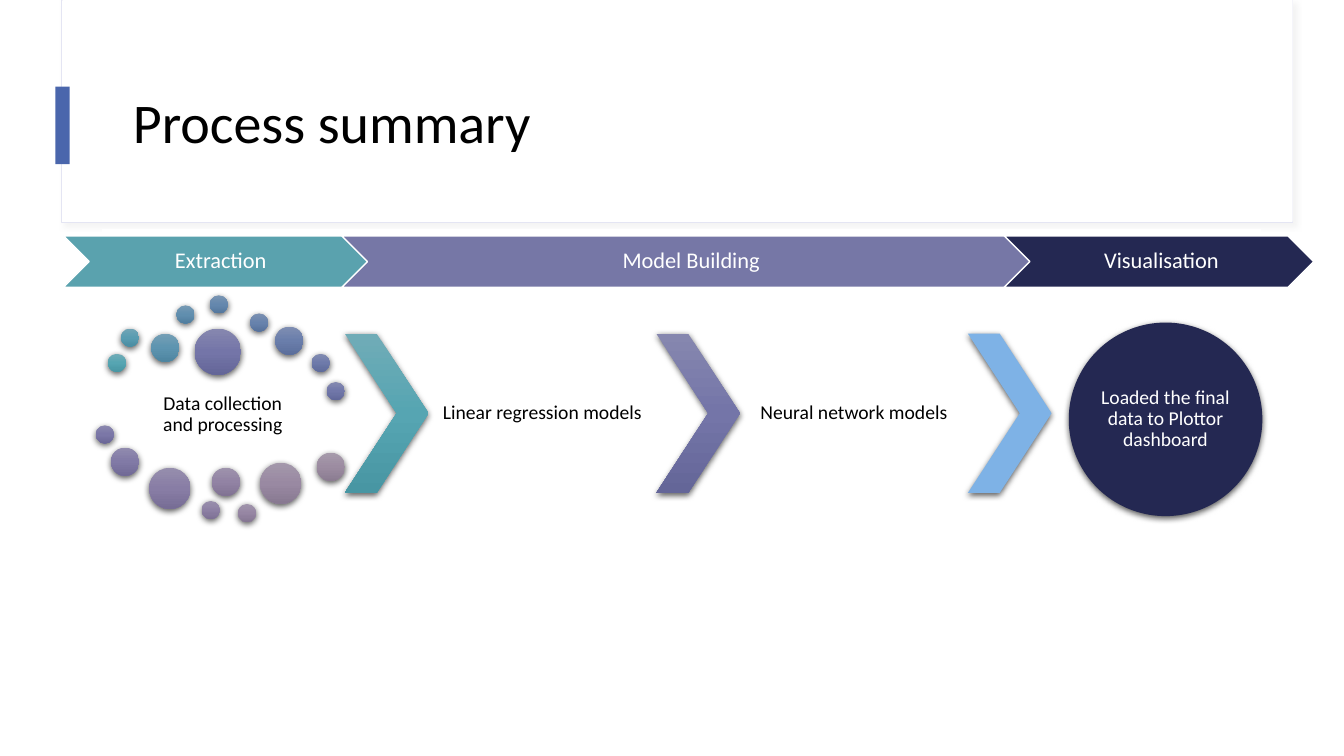
from lxml import etree
from pptx import Presentation
from pptx.dml.color import RGBColor
from pptx.enum.shapes import MSO_SHAPE
from pptx.enum.text import MSO_ANCHOR, PP_ALIGN
from pptx.oxml.ns import qn
from pptx.util import Inches, Pt

RECTANGLE, OVAL, CHEVRON = MSO_SHAPE.RECTANGLE, MSO_SHAPE.OVAL, MSO_SHAPE.CHEVRON
LEFT, CENTER, MIDDLE = PP_ALIGN.LEFT, PP_ALIGN.CENTER, MSO_ANCHOR.MIDDLE

FONT = "Calibri"
COLORS = {
    "white": "FFFFFF", "black": "000000", "panel line": "E4E5F3",
    "panel shadow": "D9D9D9", "accent": "4A66AC", "teal": "5AA2AE",
    "purple": "7677A6", "navy": "242852", "sky": "7EB2E6",
}
# Gradients run from top to bottom.
TEAL_GRADIENT = ("70ACB7", "56A5B2", "4896A3")
PURPLE_GRADIENT = ("8687AF", "7475A8", "646698")

# Fill, left, top, width, height
PANELS = [
    ("white", 0.62, 0, 12.2, 2.2),
    ("accent", 0.55, 0.86, 0.14, 0.77),
    ("white", 1.01, 2.27, 11.5, 0.7),
]

# Label, fill, left, width
STAGES = [
    ("Extraction", "teal", 0.63, 3.07),
    ("Model Building", "purple", 3.39, 6.88),
    ("Visualisation", "navy", 9.96, 3.07),
]
STAGE_TOP, STAGE_HEIGHT = 2.34, 0.51

SMALL, MEDIUM, LARGE, LARGEST = 0.18, 0.28, 0.41, 0.46
# Left, top, diameter, gradient
DOTS = [
    (1.07, 3.51, SMALL, TEAL_GRADIENT),
    (1.2, 3.26, SMALL, ("72A5B6", "599CB1", "4B8DA2")),
    (1.5, 3.31, MEDIUM, ("759FB5", "5D94B0", "4E85A0")),
    (1.75, 3.03, SMALL, ("779AB4", "608EAE", "517E9F")),
    (2.08, 2.93, SMALL, ("7A95B3", "6487AD", "55789E")),
    (2.48, 3.11, SMALL, ("7C91B2", "6782AC", "58739D")),
    (2.73, 3.24, MEDIUM, ("7F8EB2", "6A7EAB", "5B6E9B")),
    (3.09, 3.51, SMALL, ("818BB1", "6E7AAA", "5E6B9A")),
    (3.24, 3.79, SMALL, ("8489B0", "7177A9", "616899")),
    (1.93, 3.26, LARGEST, PURPLE_GRADIENT),
    (0.95, 4.22, SMALL, ("8C89AF", "7B77A7", "6B6797")),
    (1.1, 4.44, MEDIUM, ("918BAE", "817AA6", "716A96")),
    (1.48, 4.64, LARGE, ("968EAD", "887DA5", "776D95")),
    (2, 4.97, SMALL, ("9A90AD", "8D80A4", "7D7094")),
    (2.1, 4.64, MEDIUM, ("9E93AC", "9283A4", "817393")),
    (2.36, 5, SMALL, ("A195AC", "9686A3", "857692")),
    (2.58, 4.59, LARGE, ("A498AB", "9989A2", "887991")),
    (3.14, 4.49, MEDIUM, ("A69AAB", "9C8CA1", "8B7C91")),
]

# Arrow fill and the label that follows it
STEPS = [
    (TEAL_GRADIENT, "Linear regression models"),
    (PURPLE_GRADIENT, "Neural network models"),
    ("sky", None),
]
STEP_LEFT, STEP_TOP, STEP_HEIGHT = 3.42, 3.31, 1.58
ARROW_WIDTH, LABEL_WIDTH = 0.83, 2.26

# Colour, opacity %, blur pt, distance pt, angle in degrees
SOFT_SHADOW = ("black", 63, 4.5, 1.5, 90)
PANEL_SHADOW = ("panel shadow", 30, 4, 3, 45)


def rgb(name):
    return RGBColor.from_string(COLORS[name])


def set_gradient(shape, stops):
    shape.fill.gradient()
    shape.fill.gradient_angle = 270
    stop_list = shape._element.spPr.find(".//" + qn("a:gsLst"))
    for stop in list(stop_list):
        stop_list.remove(stop)
    for index, color in enumerate(stops):
        stop = etree.SubElement(stop_list, qn("a:gs"), pos=str(index * 50000))
        etree.SubElement(stop, qn("a:srgbClr"), val=color)


def set_shadow(shape, color, opacity, blur, distance, angle):
    effects = shape._element.spPr.find(qn("a:effectLst"))
    outer = etree.SubElement(
        effects, qn("a:outerShdw"), blurRad=str(int(Pt(blur))),
        dist=str(int(Pt(distance))), dir=str(angle * 60000),
        algn="ctr", rotWithShape="0")
    tint = etree.SubElement(outer, qn("a:srgbClr"), val=COLORS[color])
    etree.SubElement(tint, qn("a:alpha"), val=str(opacity * 1000))


def add_shape(slide, kind, left, top, width, height, fill,
              line=None, line_width=1, shadow=None):
    """Add a shape; fill is a colour name or a tuple of gradient stops."""
    shape = slide.shapes.add_shape(
        kind, Inches(left), Inches(top), Inches(width), Inches(height))
    if isinstance(fill, tuple):
        set_gradient(shape, fill)
    else:
        shape.fill.solid()
        shape.fill.fore_color.rgb = rgb(fill)
    if line:
        shape.line.color.rgb = rgb(line)
        shape.line.width = Pt(line_width)
    else:
        shape.line.fill.background()
    shape.shadow.inherit = False
    if shadow:
        set_shadow(shape, *shadow)
    return shape


def write_text(shape, text, size=14, color="black", align=CENTER,
               insets=(0.02, 0.02, 0.02, 0.02)):
    """Fill a shape with one paragraph; insets are left, top, right, bottom."""
    frame = shape.text_frame
    frame.word_wrap = True
    frame.vertical_anchor = MIDDLE
    (frame.margin_left, frame.margin_top,
     frame.margin_right, frame.margin_bottom) = map(Inches, insets)
    paragraph = frame.paragraphs[0]
    paragraph.alignment = align
    paragraph.line_spacing = 0.9
    run = paragraph.add_run()
    run.text = text
    run.font.name = FONT
    run.font.size = Pt(size)
    run.font.color.rgb = rgb(color)


def add_text(slide, text, left, top, width, height, **text_format):
    box = slide.shapes.add_textbox(
        Inches(left), Inches(top), Inches(width), Inches(height))
    write_text(box, text, **text_format)


def main():
    presentation = Presentation()
    presentation.slide_width = Inches(13.33)
    presentation.slide_height = Inches(7.5)
    slide = presentation.slides.add_slide(presentation.slide_layouts[6])

    add_shape(slide, RECTANGLE, 0.61, 0, 12.21, 2.21, "white",
              line="panel line", line_width=0.75, shadow=PANEL_SHADOW)
    for fill, *place in PANELS:
        add_shape(slide, RECTANGLE, *place, fill)

    add_text(slide, "Data collection and processing", 1.45, 3.74, 1.52, 0.74)
    for left, top, diameter, gradient in DOTS:
        add_shape(slide, OVAL, left, top, diameter, diameter, gradient,
                  shadow=SOFT_SHADOW)

    for index, (fill, label) in enumerate(STEPS):
        left = STEP_LEFT + index * (ARROW_WIDTH + LABEL_WIDTH)
        arrow = add_shape(slide, CHEVRON, left, STEP_TOP, ARROW_WIDTH,
                          STEP_HEIGHT, fill, shadow=SOFT_SHADOW)
        arrow.adjustments[0] = 0.62
        if label:
            add_text(slide, label, left + ARROW_WIDTH, STEP_TOP,
                     LABEL_WIDTH, STEP_HEIGHT)

    result = add_shape(slide, OVAL, 10.6, 3.2, 1.92, 1.92, "navy",
                       shadow=SOFT_SHADOW)
    write_text(result, "Loaded the final data to Plottor dashboard",
               color="white", insets=(0, 0, 0, 0))

    add_text(slide, "Process summary", 1.22, 0.6, 11.12, 1.29, size=40,
             align=LEFT, insets=(0.1, 0.05, 0.1, 0.05))

    for label, fill, left, width in STAGES:
        stage = add_shape(slide, CHEVRON, left, STAGE_TOP, width,
                          STAGE_HEIGHT, fill, line="white")
        write_text(stage, label, size=16, color="white",
                   insets=(0.07, 0.02, 0.02, 0.02))

    presentation.save("out.pptx")


if __name__ == "__main__":
    main()
